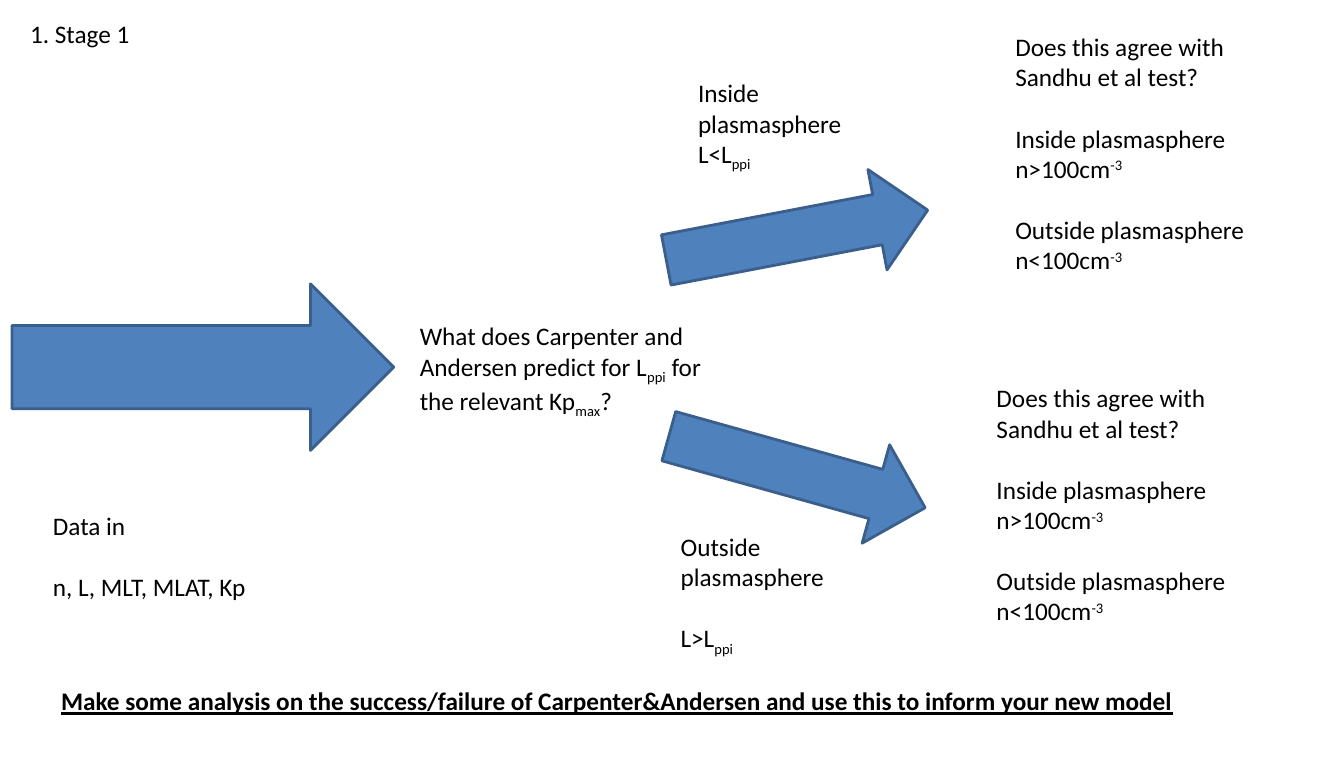
import pptx
import pptx.dml.color
import pptx.enum.shapes
import pptx.enum.text
import pptx.util

COLORS = {"ink": "000000", "fill": "4F81BD", "edge": "3A5F8C"}
WIDE, HIGH = 13.31, 7.5
GAP = 22  # height of one skipped line, in points
SUB, SUP = -25000, 30000
TEST = [
    ["Does this agree with Sandhu et al test?"],
    ["Inside plasmasphere n>100cm", ("-3", SUP)],
    ["Outside plasmasphere n<100cm", ("-3", SUP)],
]


def color(name):
    return pptx.dml.color.RGBColor.from_string(COLORS[name])


def place(box):
    """Turn percent shares of the slide into lengths."""
    sides = (WIDE, HIGH, WIDE, HIGH)
    return [pptx.util.Inches(share * side / 100) for share, side in zip(box, sides)]


def shift(box, dx, dy, width, height):
    return box[0] + dx, box[1] + dy, width, height


def add_text(slide, box, paras, size=18, bold=False, line=False, gap=0):
    """Each paragraph lists plain strings and (string, baseline) pairs."""
    frame = slide.shapes.add_textbox(*place(box)).text_frame
    frame.word_wrap = True
    frame.auto_size = pptx.enum.text.MSO_AUTO_SIZE.SHAPE_TO_FIT_TEXT
    for i, parts in enumerate(paras):
        para = frame.paragraphs[0] if i == 0 else frame.add_paragraph()
        if i:
            para.space_before = pptx.util.Pt(gap)
        for part in parts:
            words, base = (part, 0) if isinstance(part, str) else part
            run = para.add_run()
            run.text = words
            font = run.font
            font.name, font.size = "Calibri", pptx.util.Pt(size)
            font.bold, font.underline = bold, line
            font.color.rgb = color("ink")
            if base:
                run._r.get_or_add_rPr().set("baseline", str(base))


def add_arrow(slide, box, turn=0):
    kind = pptx.enum.shapes.MSO_SHAPE.RIGHT_ARROW
    arrow = slide.shapes.add_shape(kind, *place(box))
    arrow.rotation = turn
    arrow.shadow.inherit = False
    arrow.fill.solid()
    arrow.fill.fore_color.rgb = color("fill")
    arrow.line.color.rgb = color("edge")
    arrow.line.width = pptx.util.Pt(2)


def add_input(slide, box):
    add_arrow(slide, shift(box, 0, 0, box[2], 22))
    add_text(slide, shift(box, 2.3, 29.3, 26, 13.5),
             [["Data in"], ["n, L, MLT, MLAT, Kp"]], gap=GAP)


def add_query(slide, box):
    add_text(slide, box, [[
        "What does Carpenter and Andersen predict for L", ("ppi", SUB),
        " for the relevant Kp", ("max", SUB), "?"]])


def add_branch(slide, box, turn, rise, label, label_at, label_gap, test_at):
    """One outcome: a turned arrow, its label and the test to the right."""
    add_arrow(slide, shift(box, 0, rise, 19.8, 13.5), turn)
    add_text(slide, shift(box, *label_at, 13.6, 13.5), label, gap=label_gap)
    add_text(slide, shift(box, test_at, 0, 22.5, box[3]), TEST, gap=GAP)


def main():
    deck = pptx.Presentation()
    deck.slide_width = pptx.util.Inches(WIDE)
    deck.slide_height = pptx.util.Inches(HIGH)
    slide = deck.slides.add_slide(deck.slide_layouts[6])

    # Heading
    add_text(slide, (1.5, 1.7, 93.5, 13.5), [["1. Stage 1"]])

    # Data and question
    add_input(slide, (0.9, 37.5, 28.4, 42.8))
    add_query(slide, (30.5, 41.7, 24.9, 13.5))

    # Inside and outside branches
    add_branch(slide, (49.4, 3.5, 47.9, 39), -10.8, 20.8,
               [["Inside plasmasphere"], ["L<L", ("ppi", SUB)]],
               (1.8, 6.1), 0, 25.4)
    add_branch(slide, (49.4, 49.9, 46.5, 39), 15.6, 5.7,
               [["Outside plasmasphere"], ["L>L", ("ppi", SUB)]],
               (0.5, 19.6), GAP, 24)

    # Conclusion
    add_text(slide, (3.8, 89.9, 88.7, 5.3), [[
        "Make some analysis on the success/failure of Carpenter&Andersen "
        "and use this to inform your new model"]], bold=True, line=True)

    deck.save("out.pptx")


if __name__ == "__main__":
    main()
